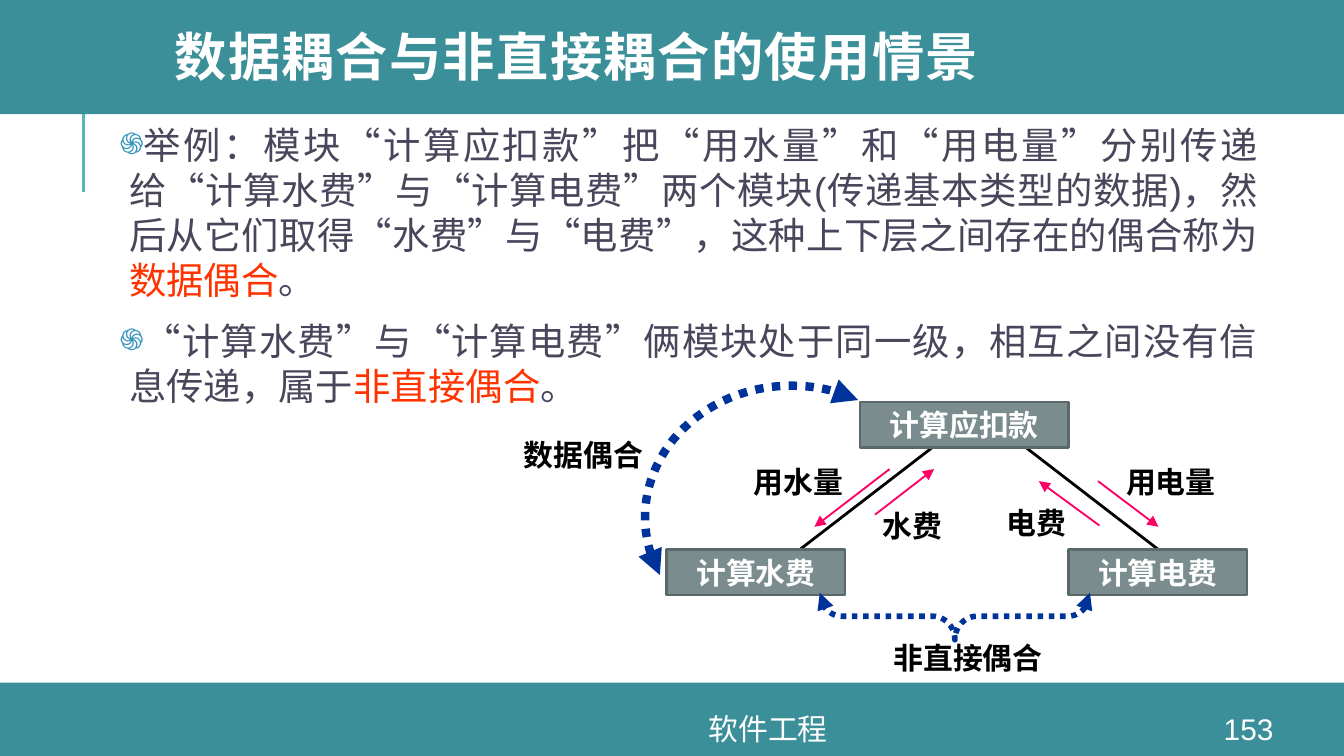
import math
from typing import NamedTuple

import lxml.etree
import pptx
import pptx.dml.color
import pptx.enum.dml
import pptx.enum.shapes
import pptx.enum.text
import pptx.oxml.ns
import pptx.util

COLUMNS, ROWS = 100, 56.25
CELL = pptx.util.Inches(0.1)
TEAL, WHITE, BLACK = "3A8F98", "FFFFFF", "000000"
INK, RED, PINK, NAVY = "48465B", "FF3300", "FF0066", "003399"
CHINESE_FONT = "Noto Sans CJK SC"
ALIGN = pptx.enum.text.PP_ALIGN
ANCHOR = pptx.enum.text.MSO_ANCHOR
SHAPES = pptx.enum.shapes.MSO_SHAPE


class Area(NamedTuple):
    column: float
    row: float
    columns: float
    rows: float


class Caption(NamedTuple):
    text: str
    area: Area


class Link(NamedTuple):
    start: tuple[float, float]
    end: tuple[float, float]
    color: str
    width: float
    arrow: bool = False


MODULES = [
    Caption("计算应扣款", Area(64, 29.9, 15.5, 3.4)),
    Caption("计算水费", Area(49.6, 40.9, 13.3, 3.4)),
    Caption("计算电费", Area(79.5, 40.9, 13.3, 3.4)),
]
LABELS = [
    Caption("用水量", Area(55.1, 34, 9.4, 3.7)),
    Caption("用电量", Area(82.8, 34, 11.2, 3.7)),
    Caption("水费", Area(64.7, 37.3, 7.7, 3.7)),
    Caption("电费", Area(73.9, 37.1, 7.4, 3.7)),
    Caption("非直接偶合", Area(65.5, 47.1, 13.3, 3.7)),
    Caption("数据偶合", Area(38, 32, 11.1, 3.7)),
]
LINKS = [
    Link((6.2, 14.3), (6.2, 6.8), "58B6C0", 1.5),
    Link((69.5, 33.2), (59.5, 40.9), BLACK, 1.5),
    Link((76.2, 33.2), (86.2, 40.9), BLACK, 1.5),
    Link((66.2, 34.9), (60.6, 39.2), PINK, 1, True),
    Link((81.7, 35.8), (86.2, 39.2), PINK, 1, True),
    Link((65.1, 38.3), (69.5, 34.9), PINK, 1, True),
    Link((81.8, 39.1), (77.3, 35.8), PINK, 1, True),
]
BODY = [
    [
        ("举例：模块“计算应扣款”把“用水量”和“用电量”分别传递给“计算水费”与“计算电费”"
         "两个模块(传递基本类型的数据)，然后从它们取得“水费”与“电费”，"
         "这种上下层之间存在的偶合称为", INK),
        ("数据偶合", RED),
        ("。", INK),
    ],
    [
        ("“计算水费”与“计算电费”俩模块处于同一级，相互之间没有信息传递，属于", INK),
        ("非直接偶合", RED),
        ("。", INK),
    ],
]


def color(value: str):
    return pptx.dml.color.RGBColor.from_string(value)


def cells(count: float) -> int:
    return round(count * CELL)


def add_xml(parent, tag: str, **attributes: str):
    return lxml.etree.SubElement(parent, pptx.oxml.ns.qn(tag), attributes)


def place(shape, area: Area) -> None:
    shape.left, shape.top, shape.width, shape.height = map(cells, area)


def add_run(paragraph, text: str, *, size: float = 16, font: str = "Arial",
            fill: str = WHITE, bold: bool = False, spacing: int = 0) -> None:
    run = paragraph.add_run()
    run.text = text
    run.font.size = pptx.util.Pt(size)
    run.font.bold = bold
    run.font.color.rgb = color(fill)
    run.font.name = font
    properties = run.font._element
    properties.set("lang", "zh-CN")
    if spacing:
        properties.set("spc", str(spacing))
    add_xml(properties, "a:ea", typeface=CHINESE_FONT)


def write(shape, text: str, *, align=ALIGN.LEFT, anchor=ANCHOR.TOP,
          wrap: bool = True, line_spacing: float = 1, **run_format) -> None:
    frame = shape.text_frame
    frame.word_wrap = wrap
    frame.vertical_anchor = anchor
    paragraph = frame.paragraphs[0]
    paragraph.alignment = align
    paragraph.line_spacing = line_spacing
    add_run(paragraph, text, **run_format)


def add_text(slide, caption: Caption, **text_format) -> None:
    box = slide.shapes.add_textbox(*map(cells, caption.area))
    write(box, caption.text, **text_format)


def add_box(slide, area: Area, fill: str, outline: str | None = None):
    shape = slide.shapes.add_shape(SHAPES.RECTANGLE, *map(cells, area))
    shape.shadow.inherit = False
    shape.fill.solid()
    shape.fill.fore_color.rgb = color(fill)
    if outline:
        shape.line.color.rgb = color(outline)
        shape.line.width = pptx.util.Pt(1.25)
    else:
        shape.line.fill.background()
    return shape


def add_link(slide, link: Link) -> None:
    connector = slide.shapes.add_connector(
        pptx.enum.shapes.MSO_CONNECTOR.STRAIGHT,
        *map(cells, link.start + link.end))
    connector.line.color.rgb = color(link.color)
    connector.line.width = pptx.util.Pt(link.width)
    if link.arrow:
        add_xml(connector.line._get_or_add_ln(), "a:tailEnd", type="triangle")
    add_xml(connector._element.spPr, "a:effectLst")


def style_dotted(shape, width: float) -> None:
    shape.shadow.inherit = False
    shape.fill.background()
    shape.line.color.rgb = color(NAVY)
    shape.line.width = pptx.util.Pt(width)
    shape.line.dash_style = pptx.enum.dml.MSO_LINE.ROUND_DOT
    for tag in ("a:headEnd", "a:tailEnd"):
        add_xml(shape.line._get_or_add_ln(), tag, type="triangle")


def add_arc(slide) -> None:
    start, end, steps = 154, 297, 60
    angles = [math.radians(start + (end - start) * step / steps)
              for step in range(steps + 1)]
    points = [(cells(58.9 + 10.9 * math.cos(angle)),
               cells(38.5 + 9.8 * math.sin(angle))) for angle in angles]
    builder = slide.shapes.build_freeform(*points[0])
    builder.add_line_segments(points[1:], close=False)
    style_dotted(builder.convert_to_shape(), 4.5)


def add_brace(slide) -> None:
    area = Area(69.3, 35.8, 3.5, 20.1)
    brace = slide.shapes.add_shape(SHAPES.LEFT_BRACE, *map(cells, area))
    brace.rotation = 270
    brace.adjustments[0] = 0.47
    style_dotted(brace, 3)


def fill_body(body) -> None:
    place(body, Area(8.4, 8.6, 85.7, 41.6))
    frame = body.text_frame
    frame.margin_left = frame.margin_right = cells(0.5)
    frame.margin_top = frame.margin_bottom = cells(0.5)
    for index, runs in enumerate(BODY):
        paragraph = frame.add_paragraph() if index else frame.paragraphs[0]
        paragraph.alignment = ALIGN.JUSTIFY
        paragraph.line_spacing = pptx.util.Pt(24)
        paragraph.space_before = pptx.util.Pt(9 if index else 0)
        properties = paragraph._p.get_or_add_pPr()
        properties.set("marL", str(cells(0.7)))
        properties.set("indent", str(cells(-4.7)))
        add_xml(add_xml(properties, "a:buClr"), "a:srgbClr", val="3494BA")
        add_xml(properties, "a:buSzPct", val="80000")
        add_xml(properties, "a:buChar", char="֍")
        for text, fill in runs:
            add_run(paragraph, text, size=20, fill=fill)


def main() -> None:
    presentation = pptx.Presentation()
    presentation.slide_width = cells(COLUMNS)
    presentation.slide_height = cells(ROWS)
    slide = presentation.slides.add_slide(presentation.slide_layouts[1])
    title, body = slide.placeholders
    add_link(slide, LINKS[0])
    add_box(slide, Area(0, 50.8, COLUMNS, ROWS - 50.8), TEAL)
    add_box(slide, Area(0, 0, COLUMNS, 8.5), TEAL)
    for placeholder in (title, body):
        placeholder.element.getparent().append(placeholder.element)
    place(title, Area(12, 0, 84.9, 9.1))
    write(title, "数据耦合与非直接耦合的使用情景", anchor=ANCHOR.MIDDLE,
          line_spacing=0.8, size=28, font="Montserrat", bold=True, spacing=80)
    fill_body(body)
    for caption in (Caption("软件工程", Area(26.1, 53.1, 62.1, 2.3)),
                    Caption("153", Area(88.9, 53.1, 8, 2.3))):
        add_text(slide, caption, align=ALIGN.CENTER, anchor=ANCHOR.MIDDLE)
    for link in LINKS[1:]:
        add_link(slide, link)
    for module in MODULES:
        write(add_box(slide, module.area, "7A8C8E", "5A6869"), module.text,
              align=ALIGN.CENTER, anchor=ANCHOR.MIDDLE, wrap=False,
              font=CHINESE_FONT, bold=True)
    for label in LABELS:
        add_text(slide, label, wrap=False, font=CHINESE_FONT, fill=BLACK, bold=True)
    add_arc(slide)
    add_brace(slide)
    presentation.save("out.pptx")


if __name__ == "__main__":
    main()
